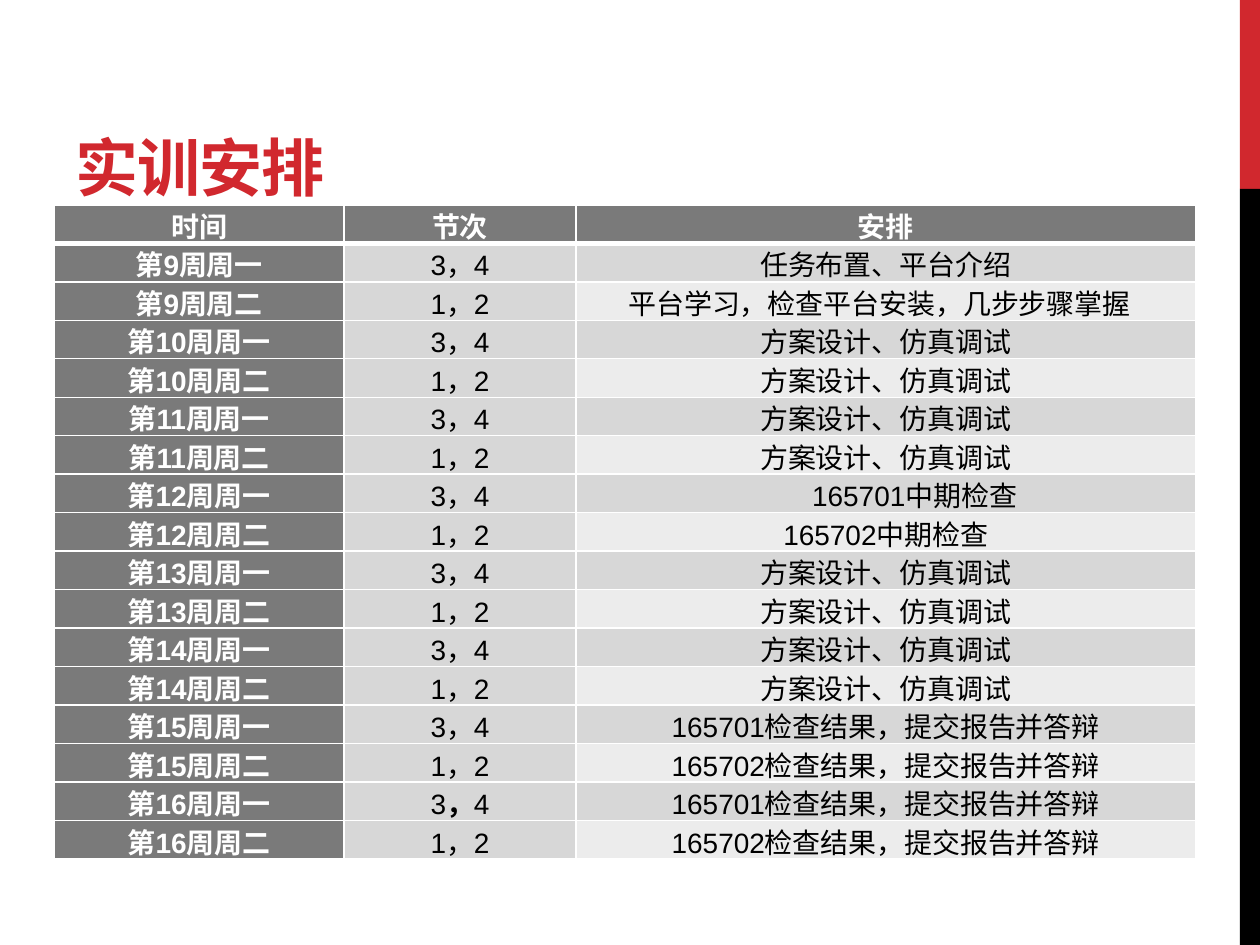
from lxml import etree
from pptx import Presentation
from pptx.dml.color import RGBColor
from pptx.enum.shapes import MSO_SHAPE
from pptx.enum.text import MSO_ANCHOR, PP_ALIGN
from pptx.oxml.ns import qn
from pptx.util import Pt

RECT = MSO_SHAPE.RECTANGLE
BOTTOM = MSO_ANCHOR.BOTTOM
LEFT, CENTER, JUSTIFY = PP_ALIGN.LEFT, PP_ALIGN.CENTER, PP_ALIGN.JUSTIFY

RED, BLACK, WHITE = "D1282E", "000000", "FFFFFF"
DARK, MID, PALE = "7A7A7A", "D7D7D7", "ECECEC"

HEADS = ["时间", "节次", "安排"]
WIDTHS = [165.6, 132.5, 354.2]
DESIGN = "方案设计、仿真调试"
REPORT = "检查结果，提交报告并答辩"
TASKS = [
    "任务布置、平台介绍", "平台学习，检查平台安装，几步步骤掌握",
    *[DESIGN] * 4,
    "165701中期检查", "165702中期检查",
    *[DESIGN] * 4,
    *["165701" + REPORT, "165702" + REPORT] * 2,
]
INDENTS = {2: 25, 7: 130}  # table row: first-line indent of its task
HEAVY_ROW = 15  # the row whose comma is bold


def color(code):
    return RGBColor.from_string(code)


def write(frame, *parts, size=16, font="Arial", ink=BLACK, bold=False,
          align=CENTER, indent=0, track=0):
    """Fill the first paragraph; a part is a text or a (text, bold) pair."""
    para = frame.paragraphs[0]
    para.alignment = align
    if indent:
        para._p.get_or_add_pPr().set("indent", str(Pt(indent)))
    for part in parts:
        text, weight = (part, bold) if isinstance(part, str) else part
        run = para.add_run()
        run.text = text
        run.font.name = font
        run.font.size = Pt(size)
        run.font.bold = weight
        run.font.color.rgb = color(ink)
        if track:
            run.font._element.set("spc", str(round(track * 100)))


def add_bar(slide, x, y, w, h, fill):
    bar = slide.shapes.add_shape(RECT, Pt(x), Pt(y), Pt(w), Pt(h))
    bar.shadow.inherit = False
    bar.fill.solid()
    bar.fill.fore_color.rgb = color(fill)
    bar.line.fill.background()


def add_stripe(slide, x, y, w, h):
    """Side stripe: the top fifth red, the rest black."""
    top = h / 5
    add_bar(slide, x, y, w, top, RED)
    add_bar(slide, x, y + top, w, h - top, BLACK)


def add_title(slide, x, y, w, h):
    box = slide.shapes.add_textbox(Pt(x), Pt(y), Pt(w), Pt(h))
    frame = box.text_frame
    frame.word_wrap = True
    frame.vertical_anchor = BOTTOM
    write(frame, "实训安排", size=36, font="Montserrat", ink=RED,
          bold=True, align=LEFT, track=-0.6)


def edge(cell, side, width):
    props = cell._tc.get_or_add_tcPr()
    line = etree.SubElement(props, qn("a:ln" + side), w=str(Pt(width)))
    fill = etree.SubElement(line, qn("a:solidFill"))
    etree.SubElement(fill, qn("a:srgbClr"), val=WHITE)


def style(cell, row, fill):
    """Set insets, white borders and fill; a thick rule follows the header."""
    cell.margin_left = cell.margin_right = Pt(5)
    cell.margin_top = cell.margin_bottom = 0
    edge(cell, "L", 1)
    edge(cell, "R", 1)
    edge(cell, "T", 3 if row == 1 else 1)
    edge(cell, "B", 3 if row == 0 else 1)
    cell.fill.solid()
    cell.fill.fore_color.rgb = color(fill)


def add_plan(slide, x, y, w, h):
    count = len(TASKS) + 1
    table = slide.shapes.add_table(
        count, len(HEADS), Pt(x), Pt(y), Pt(w), Pt(h)).table
    table.horz_banding = False
    for col, width in zip(table.columns, WIDTHS):
        col.width = Pt(width * w / sum(WIDTHS))
    for row in table.rows:
        row.height = Pt(h / count)

    for col, head in enumerate(HEADS):
        cell = table.cell(0, col)
        style(cell, 0, DARK)
        write(cell.text_frame, head, ink=WHITE, bold=True)

    for row, task in enumerate(TASKS, 1):
        week, odd = 9 + (row - 1) // 2, row % 2
        day, slot, goal = (table.cell(row, col) for col in range(3))
        style(day, row, DARK)
        style(slot, row, MID)
        style(goal, row, MID if odd else PALE)
        write(day.text_frame, f"第{week}周周{'一' if odd else '二'}",
              ink=WHITE, bold=True)
        if row == HEAVY_ROW:
            write(slot.text_frame, "3", ("，", True), "4")
        else:
            write(slot.text_frame, "3，4" if odd else "1，2")
        indent = INDENTS.get(row, 0)
        write(goal.text_frame, task, indent=indent,
              align=JUSTIFY if indent else CENTER)


def main():
    deck = Presentation()
    deck.slide_width, deck.slide_height = Pt(720), Pt(540)
    slide = deck.slides.add_slide(deck.slide_layouts[6])
    add_stripe(slide, 708.5, 0, 11.5, 540)
    add_title(slide, 36, 12, 456, 108)
    add_plan(slide, 31, 117, 652.3, 374)
    deck.save("out.pptx")


if __name__ == "__main__":
    main()
